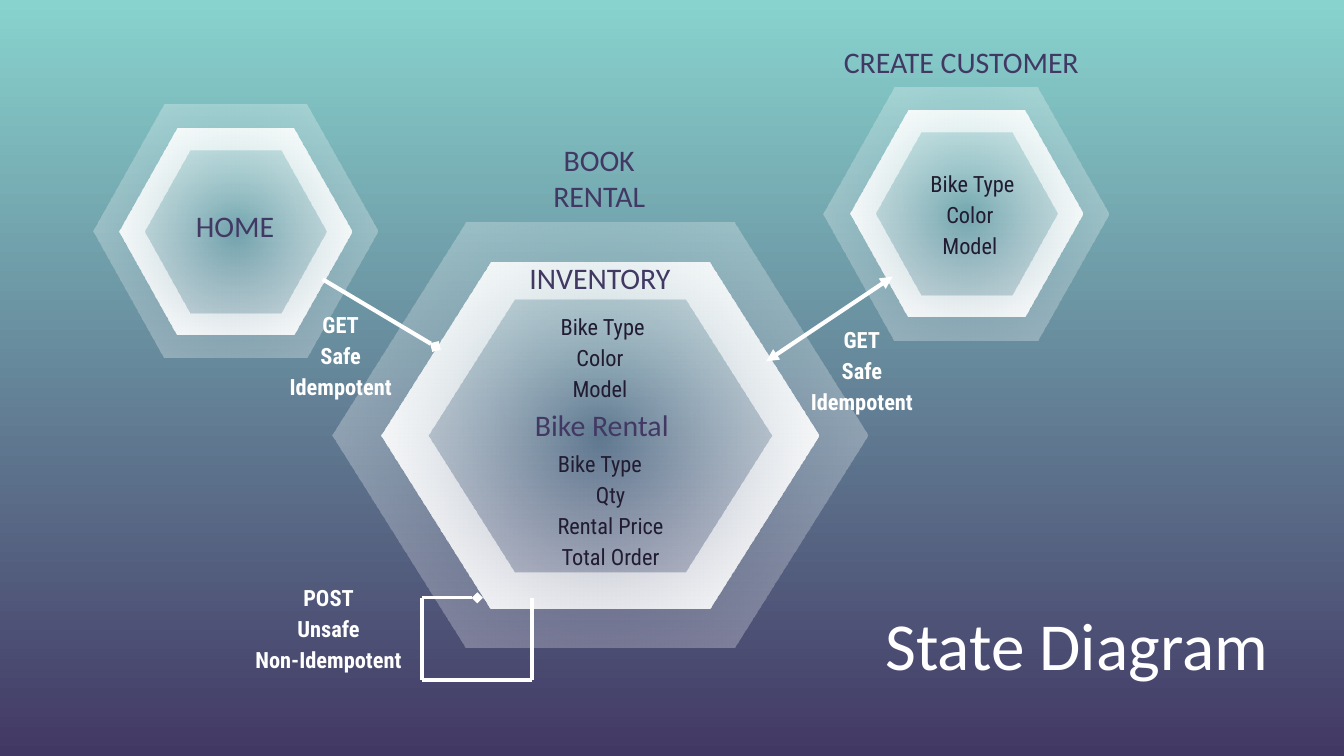
from lxml.etree import SubElement
from pptx import Presentation
from pptx.dml.color import RGBColor
from pptx.enum.shapes import MSO_CONNECTOR
from pptx.enum.text import MSO_ANCHOR, PP_ALIGN
from pptx.oxml import parse_xml
from pptx.oxml.ns import nsdecls, qn
from pptx.util import Cm, Pt

STRAIGHT = MSO_CONNECTOR.STRAIGHT
TOP, BOTTOM = MSO_ANCHOR.TOP, MSO_ANCHOR.BOTTOM
LEFT, CENTER = PP_ALIGN.LEFT, PP_ALIGN.CENTER
COLORS = {"teal": "88D3CE", "plum": "423864", "ink": "211C32", "white": "FFFFFF"}
HEAD, BODY = "Calibri", "Roboto Condensed"


class Sketch:
    """Hold the style and the current slide, and draw each kind of element."""

    def __init__(self, slide):
        self.slide = slide

    def color(self, name):
        return RGBColor.from_string(COLORS[name])

    def backdrop(self, start, end):
        fill = self.slide.background.fill
        fill.gradient()
        fill.gradient_angle = 270
        for stop, name in zip(fill.gradient_stops, (start, end)):
            stop.color.rgb = self.color(name)

    def glow(self, shape, inner, outer):
        stops = "".join(
            f'<a:gs pos="{pos}"><a:srgbClr val="{COLORS["white"]}">'
            f'<a:alpha val="{alpha * 1000}"/></a:srgbClr></a:gs>'
            for pos, alpha in ((0, inner), (100000, outer)))
        shape._element.spPr.insert(2, parse_xml(
            f'<a:gradFill {nsdecls("a")} rotWithShape="1"><a:gsLst>{stops}</a:gsLst>'
            '<a:path path="circle"><a:fillToRect l="50000" t="50000" r="50000" b="50000"/>'
            '</a:path></a:gradFill>'))
        shape.line.fill.background()
        shape.shadow.inherit = False

    def corners(self, x, y, width, height):
        spots = ((-1, -2), (-2, 0), (-1, 2), (1, 2), (2, 0), (1, -2))
        return [(Cm(x + i * width / 4), Cm(y + j * height / 4)) for i, j in spots]

    def hexagon(self, x, y, width, height):
        group = self.slide.shapes.add_group_shape()
        outer, middle, inner = (
            self.corners(x, y, width * part, height * part) for part in (1, 0.815, 0.64))
        layers = [([outer], 0, 39), ([middle], 0, 39), ([middle], 0, 39),
                  ([inner[::-1], middle], 21, 100)]
        for rings, start, end in layers:
            form = group.shapes.build_freeform(*rings[0][0], scale=1.0)
            form.add_line_segments(rings[0][1:], close=True)
            for ring in rings[1:]:
                form.move_to(*ring[0])
                form.add_line_segments(ring[1:], close=True)
            self.glow(form.convert_to_shape(), start, end)

    def line(self, start, end, width=2.25, head=None, tail=None):
        line = self.slide.shapes.add_connector(
            STRAIGHT, *(Cm(n) for n in (*start, *end)))
        line.line.color.rgb = self.color("white")
        line.line.width = Pt(width)
        props = line._element.spPr
        for tag, kind in (("a:headEnd", head), ("a:tailEnd", tail)):
            if kind:
                SubElement(props.find(qn("a:ln")), qn(tag), type=kind)
        SubElement(props, qn("a:effectLst"))

    def text(self, text, x, y, width, height, size=16, font=HEAD, color="plum",
             bold=False, align=CENTER, anchor=BOTTOM, space=1.0, indents=None):
        box = self.slide.shapes.add_textbox(Cm(x), Cm(y), Cm(width), Cm(height))
        frame = box.text_frame
        frame.word_wrap = True
        frame.vertical_anchor = anchor
        frame.margin_left = frame.margin_right = Cm(0.25)
        frame.margin_top = frame.margin_bottom = Cm(0.25)
        frame.text = text
        for index, para in enumerate(frame.paragraphs):
            para.alignment = align
            para.line_spacing = space
            if indents:
                props = para._p.get_or_add_pPr()
                props.set("marL", str(Cm(indents[index])))
                props.set("indent", "0")
            style = para.runs[0].font
            style.name, style.size, style.bold = font, Pt(size), bold
            style.color.rgb = self.color(color)

    def notes(self, text, x, y, indents=(0.3, 0.3, 0.3), **style):
        look = {"size": 12, "font": BODY, "color": "ink", **style}
        self.text(text, x, y, 3.84, 3, anchor=TOP, space=1.15, indents=indents, **look)


def main():
    deck = Presentation()
    deck.slide_width, deck.slide_height = Cm(25.4), Cm(14.29)
    sketch = Sketch(deck.slides.add_slide(deck.slide_layouts[6]))
    sketch.backdrop("teal", "plum")

    sketch.hexagon(11.34, 8.23, 10.11, 8.03)
    for x, y in ((4.45, 4.37), (18.26, 4.04)):
        sketch.hexagon(x, y, 5.38, 4.78)

    sketch.text("State Diagram", 16.48, 11.15, 8.9, 1.85, size=36,
                color="white", align=LEFT, anchor=TOP)
    for label, x, y, width in (
            ("HOME", 2.72, 3.25, 3.45), ("INVENTORY", 9.42, 4.24, 3.84),
            ("BOOK RENTAL", 9.6, 2.69, 3.45), ("CREATE CUSTOMER", 15.49, 0.15, 5.36),
            ("Bike Rental", 9.65, 7.01, 3.45)):
        sketch.text(label, x, y, width, 1.6)

    for x, y in ((9.27, 5.59), (16.26, 2.9)):
        sketch.notes("Bike Type\nColor\nModel", x, y, indents=(0.4, 0.3, 0.3))
    sketch.notes("Bike Type\nQty\nRental Price\nTotal Order", 9.22, 8.18,
                 indents=(0.4, 0.8, 0.8, 0.8))
    read = "GET\nSafe\nIdempotent"
    write = "POST\nUnsafe\nNon-Idempotent"
    for words, x, y in ((read, 4.37, 5.56), (read, 14.22, 5.84), (write, 4.14, 10.72)):
        sketch.notes(words, x, y, color="white", bold=True)

    sketch.line((6.1, 5.28), (8.23, 6.55), tail="diamond")
    sketch.line((14.48, 6.83), (16.87, 5.23), head="triangle", tail="triangle")
    left, right, top, base = 7.98, 10.06, 11.3, 12.85
    sketch.line((right, top), (right, base))
    sketch.line((right, base), (left, base))
    sketch.line((left, top), (left, base))
    sketch.line((left, top), (9.02, top), width=1.5, tail="diamond")
    deck.save("out.pptx")


if __name__ == "__main__":
    main()
